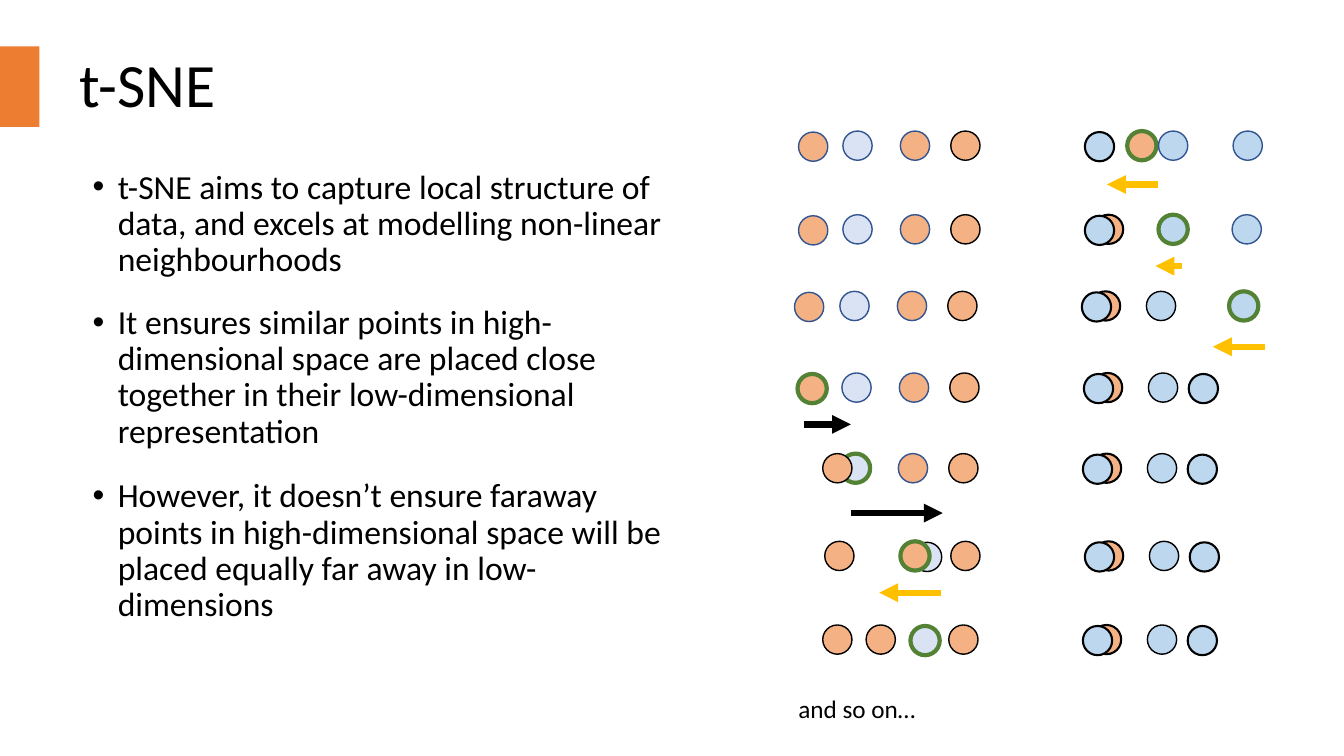
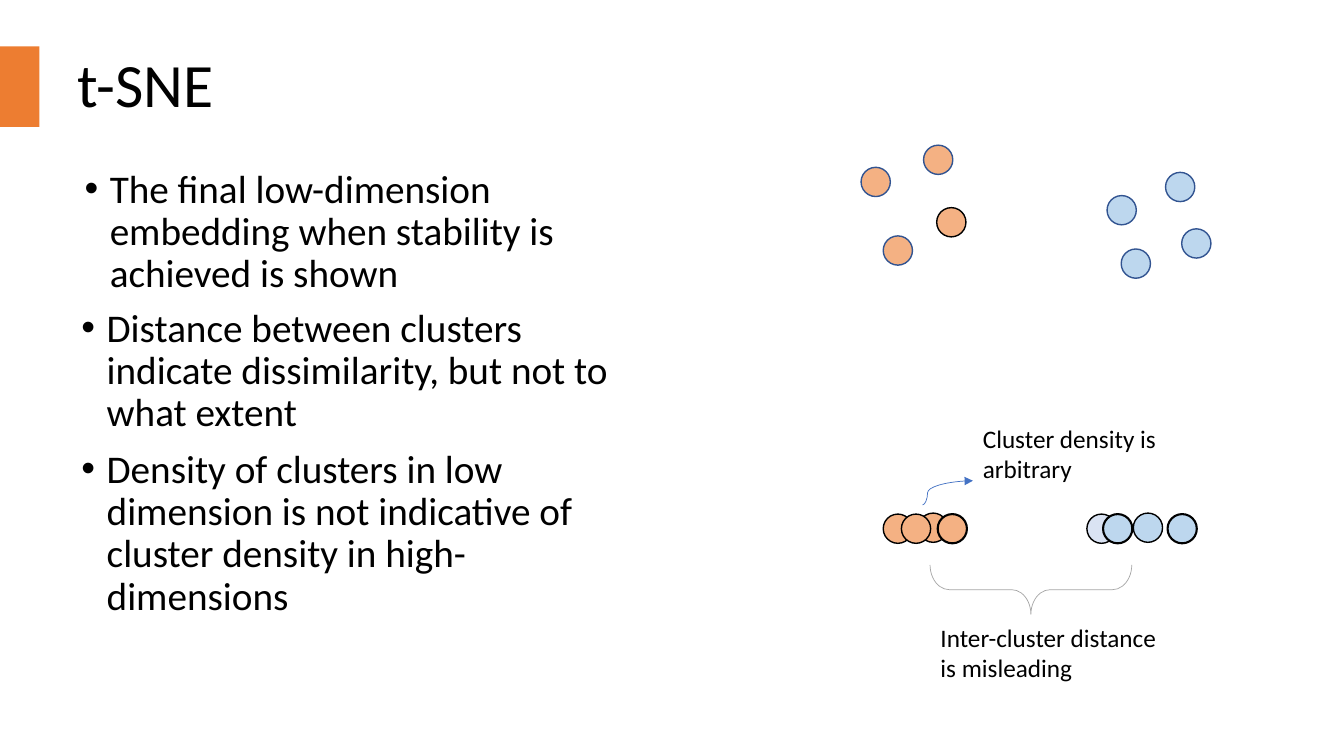
from collections import namedtuple

from lxml.etree import SubElement
from pptx import Presentation
from pptx.dml.color import RGBColor
from pptx.enum.shapes import MSO_CONNECTOR, MSO_SHAPE
from pptx.enum.text import MSO_ANCHOR, MSO_AUTO_SIZE, PP_ALIGN
from pptx.oxml.ns import qn
from pptx.util import Inches, Pt

BLACK = RGBColor(0x00, 0x00, 0x00)
WHITE = RGBColor(0xFF, 0xFF, 0xFF)
ACCENT_ORANGE = RGBColor(0xED, 0x7D, 0x31)
ORANGE = RGBColor(0xF4, 0xB1, 0x83)
LAVENDER = RGBColor(0xDA, 0xE3, 0xF3)
BLUE = RGBColor(0xBD, 0xD7, 0xEE)
NAVY = RGBColor(0x32, 0x54, 0x91)
GREEN = RGBColor(0x54, 0x82, 0x35)
GOLD = RGBColor(0xFF, 0xC0, 0x00)
CONNECTOR_BLUE = RGBColor(0x44, 0x72, 0xC4)
GREY = RGBColor(0xA6, 0xA6, 0xA6)

FONT = "Calibri"
DOT_SIZE = 0.29
DOT_DROP = 0.01

# Outlines of the dots: colour and width in points
START = (NAVY, 1)
PLACED = (BLACK, 1)
HEAVY = (BLACK, 1.5)
MOVING = (GREEN, 3)

TITLE_FRAME = {
    "auto_size": MSO_AUTO_SIZE.NONE,
    "vertical_anchor": MSO_ANCHOR.MIDDLE,
    "word_wrap": True,
}
TITLE_PARAGRAPH = {"alignment": PP_ALIGN.LEFT, "line_spacing": 0.9}
BULLET_PARAGRAPH = {"line_spacing": 0.9, "space_before": Pt(10)}

# Every step holds the same eight dots, listed from back to front
STEP_FILLS = (ORANGE, ORANGE, LAVENDER, ORANGE, BLUE, BLUE, BLUE, ORANGE)
Step = namedtuple("Step", "top lefts outlines lowered")
STEPS = (
    Step(1.3, (9.43, 11.18, 8.36, 7.92, 10.76, 11.49, 12.23, 8.93),
         (PLACED, MOVING, START, START, HEAVY, START, START, START), (3, 4)),
    Step(2.13, (9.43, 10.85, 8.36, 7.92, 10.76, 11.49, 12.22, 8.93),
         (PLACED, HEAVY, START, START, HEAVY, MOVING, START, START), (3, 4)),
    Step(2.89, (9.4, 10.82, 8.33, 7.88, 10.73, 11.37, 12.19, 8.9),
         (PLACED, HEAVY, START, START, HEAVY, PLACED, MOVING, START), (3, 4)),
    Step(3.7, (9.42, 10.84, 8.35, 7.91, 10.75, 11.39, 11.79, 8.92),
         (PLACED, HEAVY, START, MOVING, HEAVY, PLACED, HEAVY, START), (3, 4, 6)),
    Step(4.5, (9.41, 10.83, 8.34, 8.16, 10.74, 11.38, 11.78, 8.91),
         (PLACED, HEAVY, MOVING, PLACED, HEAVY, PLACED, HEAVY, START), (4, 6)),
    Step(5.37, (9.43, 10.85, 9.05, 8.18, 10.76, 11.4, 11.8, 8.93),
         (PLACED, HEAVY, PLACED, PLACED, HEAVY, PLACED, HEAVY, MOVING), (2, 4, 6)),
    Step(6.2, (9.41, 10.83, 9.03, 8.16, 10.74, 11.38, 11.78, 8.59),
         (PLACED, HEAVY, MOVING, PLACED, HEAVY, PLACED, HEAVY, PLACED), (2, 4, 6)),
)

# Movement arrows: start, end, height on the slide, colour
MOVES = (
    (11.49, 10.98, 1.83, GOLD),
    (11.72, 11.46, 2.64, GOLD),
    (12.55, 12.03, 3.44, GOLD),
    (7.97, 8.44, 4.21, BLACK),
    (8.44, 9.35, 5.09, BLACK),
    (9.33, 8.72, 5.88, GOLD),
)

# Dots: left, top, fill, outline
EMBEDDED_DOTS = (
    (9.11, 5.09, ORANGE, PLACED),
    (9.3, 5.1, ORANGE, HEAVY),
    (10.78, 5.1, LAVENDER, PLACED),
    (8.76, 5.1, ORANGE, PLACED),
    (10.94, 5.1, BLUE, HEAVY),
    (11.24, 5.09, BLUE, PLACED),
    (11.58, 5.1, BLUE, HEAVY),
    (8.94, 5.1, ORANGE, PLACED),
)
SCATTERED_DOTS = (
    (9.29, 2.06, ORANGE, PLACED),
    (9.16, 1.44, ORANGE, START),
    (8.54, 1.66, ORANGE, START),
    (8.76, 2.34, ORANGE, START),
    (11.56, 1.71, BLUE, START),
    (10.98, 1.94, BLUE, START),
    (11.72, 2.27, BLUE, START),
    (11.12, 2.47, BLUE, START),
)


def apply_format(target, values):
    for name, value in values.items():
        setattr(target, name, value)


def write_text(paragraph, text, size):
    run = paragraph.add_run()
    run.text = text
    apply_format(run.font, {"name": FONT, "size": Pt(size)})
    run.font.color.rgb = BLACK


def add_slide(presentation, title_left):
    """Add a slide with the shared title and the orange band at its edge."""
    slide = presentation.slides.add_slide(presentation.slide_layouts[5])
    slide.background.fill.solid()
    slide.background.fill.fore_color.rgb = WHITE

    title = slide.shapes.title
    apply_format(title, {"left": Inches(title_left), "top": Inches(0.14),
                         "width": Inches(11.5), "height": Inches(1.45)})
    apply_format(title.text_frame, TITLE_FRAME)
    paragraph = title.text_frame.paragraphs[0]
    apply_format(paragraph, TITLE_PARAGRAPH)
    write_text(paragraph, "t-SNE", 44)

    band = add_shape(slide, MSO_SHAPE.RECTANGLE, (0, 0.46, 0.39, 0.8), ACCENT_ORANGE)
    band.line.fill.background()
    return slide


def add_shape(slide, kind, box, fill=None, outline=None):
    shape = slide.shapes.add_shape(kind, *map(Inches, box))
    shape.shadow.inherit = False
    if fill is None:
        shape.fill.background()
    else:
        shape.fill.solid()
        shape.fill.fore_color.rgb = fill
    if outline:
        color, width = outline
        shape.line.color.rgb = color
        shape.line.width = Pt(width)
    return shape


def add_dot(slide, left, top, fill, outline):
    add_shape(slide, MSO_SHAPE.OVAL, (left, top, DOT_SIZE, DOT_SIZE), fill, outline)


def add_text_box(slide, box):
    frame = slide.shapes.add_textbox(*map(Inches, box)).text_frame
    frame.word_wrap = True
    return frame


def add_label(slide, box, text):
    write_text(add_text_box(slide, box).paragraphs[0], text, 18)


def add_bullets(slide, box, texts, size):
    frame = add_text_box(slide, box)
    for index, text in enumerate(texts):
        paragraph = frame.add_paragraph() if index else frame.paragraphs[0]
        apply_format(paragraph, BULLET_PARAGRAPH)
        write_text(paragraph, text, size)
        properties = paragraph._p.get_or_add_pPr()
        properties.set("marL", str(Inches(0.25)))
        properties.set("indent", str(Inches(-0.25)))
        SubElement(properties, qn("a:buFont"), typeface="Arial")
        SubElement(properties, qn("a:buChar"), char="•")


def add_arrow(slide, start, end, color, width, kind=MSO_CONNECTOR.STRAIGHT):
    connector = slide.shapes.add_connector(kind, *map(Inches, start + end))
    connector.line.color.rgb = color
    connector.line.width = Pt(width)
    SubElement(connector.line._get_or_add_ln(), qn("a:tailEnd"), type="triangle")
    SubElement(connector._element.spPr, qn("a:effectLst"))
    return connector


def bend_connector(connector, adjustment):
    """Place the bend of a curved connector at a share of its width."""
    geometry = connector._element.spPr.find(qn("a:prstGeom"))
    guides = geometry.find(qn("a:avLst"))
    if guides is None:
        guides = SubElement(geometry, qn("a:avLst"))
    SubElement(guides, qn("a:gd"), name="adj1", fmla=f"val {round(adjustment * 100000)}")


def add_steps(slide):
    for step in STEPS:
        dots = zip(step.lefts, STEP_FILLS, step.outlines)
        for index, (left, fill, outline) in enumerate(dots):
            drop = DOT_DROP if index in step.lowered else 0
            add_dot(slide, left, step.top + drop, fill, outline)
    for start, end, height, color in MOVES:
        add_arrow(slide, (start, height), (end, height), color, 4.5)


def build_process_slide(presentation):
    slide = add_slide(presentation, 0.69)
    bullets = (
        (1.64, 1.71, "t-SNE aims to capture local structure of data, and excels at "
                     "modelling non-linear neighbourhoods"),
        (2.98, 1.78, "It ensures similar points in high-dimensional space are placed "
                     "close together in their low-dimensional representation"),
        (4.7, 2.04, "However, it doesn’t ensure faraway points in high-dimensional "
                    "space will be placed equally far away in low-dimensions"),
    )
    for top, height, text in bullets:
        add_bullets(slide, (0.82, top, 6.06, height), [text], 24)
    add_steps(slide)
    add_label(slide, (7.82, 6.83, 4.41, 0.4), "and so on…")


def build_result_slide(presentation):
    slide = add_slide(presentation, 0.67)
    add_bullets(slide, (0.74, 1.63, 5.68, 1.59), [
        "The final low-dimension embedding when stability is achieved is shown",
    ], 28)
    add_bullets(slide, (0.71, 3.01, 5.62, 1.85), [
        "Distance between clusters indicate dissimilarity, but not to what extent",
        "Density of clusters in low dimension is not indicative of cluster density "
        "in high-dimensions",
    ], 28)

    for dot in EMBEDDED_DOTS + SCATTERED_DOTS:
        add_dot(slide, *dot)

    brace = add_shape(slide, MSO_SHAPE.LEFT_BRACE, (9.98, 4.85, 0.49, 2),
                      outline=(GREY, 0.5))
    brace.rotation = 270
    brace.adjustments[0] = 0.39
    add_label(slide, (9.23, 6.12, 2.53, 0.71), "Inter-cluster distance is misleading")

    pointer = add_arrow(slide, (9.15, 5.01), (9.65, 4.77), CONNECTOR_BLUE, 0.5,
                        MSO_CONNECTOR.CURVE)
    bend_connector(pointer, 0.1)
    add_label(slide, (9.65, 4.15, 2.53, 0.71), "Cluster density is arbitrary")


def main():
    presentation = Presentation()
    presentation.slide_width = Inches(13.33)
    presentation.slide_height = Inches(7.5)
    build_process_slide(presentation)
    build_result_slide(presentation)
    presentation.save("out.pptx")


if __name__ == "__main__":
    main()
